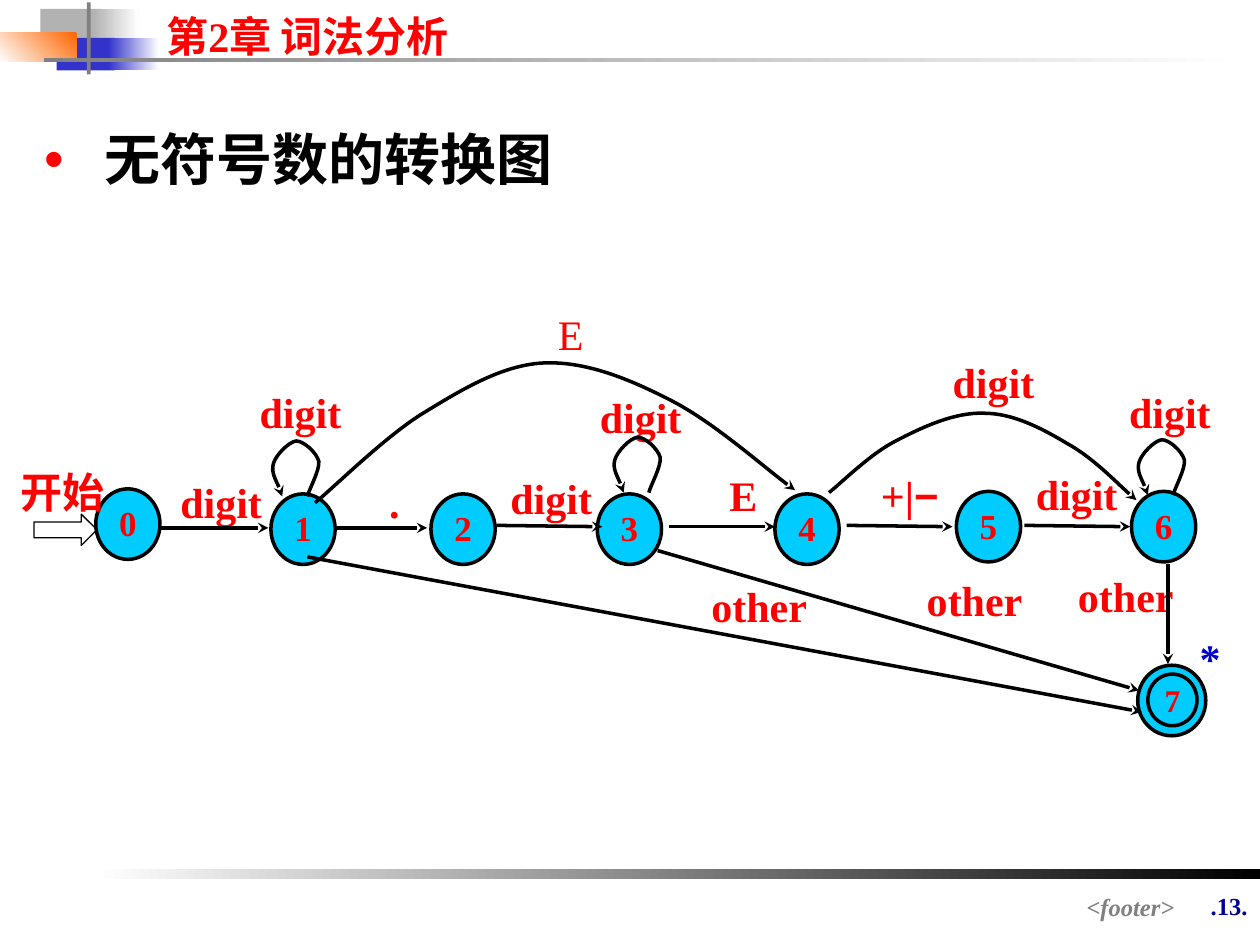
from dataclasses import dataclass

from lxml.etree import SubElement
from pptx import Presentation
from pptx.dml.color import RGBColor
from pptx.enum.shapes import MSO_CONNECTOR, MSO_SHAPE
from pptx.enum.text import MSO_ANCHOR, MSO_AUTO_SIZE, PP_ALIGN
from pptx.oxml.ns import qn
from pptx.util import Inches, Pt

COLORS = {
    "red": "FF0000", "black": "000000", "white": "FFFFFF", "state": "00CCFF",
    "silver": "B2B2B2", "gray": "808080", "blue": "3333CC", "orange": "FF6600",
    "navy": "000099", "star": "0000CC",
}
SERIF = "Times New Roman"
STATE_SIZE = (0.51, 0.56)
STATES = [(0.76, 1.48), (2.15, 1.52), (3.42, 1.52), (4.74, 1.52),
          (6.15, 1.52), (7.59, 1.5), (8.98, 1.5)]
EDGES = [
    ((1.28, 1.79), (2.13, 1.79)), ((2.66, 1.79), (3.39, 1.79)),
    ((3.94, 1.77), (4.78, 1.78)), ((5.31, 1.78), (6.15, 1.78)),
    ((6.72, 1.77), (7.56, 1.78)), ((8.13, 1.77), (8.97, 1.78)),
    ((9.27, 2.08), (9.27, 2.87)), ((5.22, 1.97), (9.04, 3.08)),
    ((2.44, 2.02), (9.06, 3.25)),
]
LOOP_STARTS = [(2.44, 1.54), (5.15, 1.51), (9.31, 1.53)]
LOOP = [(0, 0), (0.01, -0.05), (0.1, -0.21), (0.09, -0.28),
        (0.07, -0.35), (-0.03, -0.44), (-0.09, -0.44),
        (-0.15, -0.43), (-0.25, -0.33), (-0.27, -0.26),
        (-0.29, -0.19), (-0.21, -0.05), (-0.2, 0)]
ARCS = [
    [(2.5, 1.59), (2.65, 1.47), (3.08, 1.04), (3.39, 0.86),
     (3.7, 0.67), (4.01, 0.49), (4.33, 0.48),
     (4.66, 0.47), (5, 0.61), (5.33, 0.78),
     (5.66, 0.95), (6.11, 1.35), (6.31, 1.49)],
    [(6.58, 1.51), (6.67, 1.44), (6.91, 1.2), (7.11, 1.1),
     (7.32, 0.99), (7.58, 0.87), (7.81, 0.88),
     (8.04, 0.88), (8.27, 1), (8.47, 1.12),
     (8.67, 1.23), (8.91, 1.48), (9.02, 1.57)],
]
LABELS = [
    ("开始", 0.08, 1.27, 0.83), (".", 2.9, 1.35, 0.46), ("E", 5.49, 1.3, 0.82),
    ("digit", 1.32, 1.35, 0.87), ("digit", 1.95, 0.64, 0.87),
    ("digit", 3.94, 1.32, 0.87), ("digit", 4.65, 0.68, 0.87),
    ("digit", 8.11, 1.29, 0.87), ("digit", 8.85, 0.64, 0.87),
    ("digit", 7.45, 0.4, 0.87),
    ("other", 5.49, 2.18, 1.07), ("other", 7.2, 2.13, 1.07), ("other", 8.4, 2.1, 1.07),
]


@dataclass
class Region:
    left: float
    top: float

    def point(self, x, y):
        return Inches(self.left + x), Inches(self.top + y)

    def area(self, x, y, width, height):
        return *self.point(x, y), Inches(width), Inches(height)


def rgb(name):
    return RGBColor.from_string(COLORS[name])


def style_font(font, size, color="red", bold=True):
    font.name, font.size, font.bold = SERIF, Pt(size), bold
    font.color.rgb = rgb(color)


def set_insets(frame, left, top, right, bottom):
    frame.margin_left, frame.margin_top = Inches(left), Inches(top)
    frame.margin_right, frame.margin_bottom = Inches(right), Inches(bottom)


def move(shape, area):
    shape.left, shape.top, shape.width, shape.height = area


def add_text(page, area, text, size=24, color="red", bold=True,
             align=PP_ALIGN.CENTER, insets=(0.06, 0.03, 0.06, 0.03)):
    frame = page.shapes.add_textbox(*area).text_frame
    frame.word_wrap = True
    set_insets(frame, *insets)
    para = frame.paragraphs[0]
    para.text, para.alignment = text, align
    style_font(para.font, size, color, bold)
    return para


def add_bar(page, area, start, end=None, angle=0):
    """Borderless rectangle, fading from start to end when end is given."""
    bar = page.shapes.add_shape(MSO_SHAPE.RECTANGLE, *area)
    bar.shadow.inherit = False
    bar.line.fill.background()
    if end is None:
        bar.fill.solid()
        bar.fill.fore_color.rgb = rgb(start)
        return
    bar.fill.gradient()
    bar.fill.gradient_angle = angle
    for stop, color in zip(bar.fill.gradient_stops, (start, end)):
        stop.color.rgb = rgb(color)


def outline(shape, width=2, arrow=False):
    shape.line.color.rgb = rgb("black")
    shape.line.width = Pt(width)
    if arrow:
        SubElement(shape.line._get_or_add_ln(), qn("a:tailEnd"), type="stealth")


def add_edge(page, start, end):
    edge = page.shapes.add_connector(MSO_CONNECTOR.STRAIGHT, *start, *end)
    outline(edge, arrow=True)
    SubElement(edge.element.spPr, qn("a:effectLst"))


def add_curve(page, points):
    """Arrow along cubic curves: a start, then two controls and an end per curve."""
    builder = page.shapes.build_freeform(*points[0])
    builder.add_line_segments(points[1:], close=False)
    curve = builder.convert_to_shape()
    curve.shadow.inherit = False
    curve.fill.background()
    outline(curve, arrow=True)
    track = next(curve.element.iter(qn("a:path")))
    segments = track.findall(qn("a:lnTo"))
    for first in range(0, len(segments), 3):
        cubic = SubElement(track, qn("a:cubicBezTo"))
        for segment in segments[first:first + 3]:
            cubic.append(segment[0])
            track.remove(segment)


def add_state(page, area, name="", size=20, insets=(0.02, 0.03, 0.02, 0.05)):
    state = page.shapes.add_shape(MSO_SHAPE.OVAL, *area)
    state.shadow.inherit = False
    state.fill.solid()
    state.fill.fore_color.rgb = rgb("state")
    outline(state)
    if name:
        frame = state.text_frame
        frame.vertical_anchor = MSO_ANCHOR.MIDDLE
        set_insets(frame, *insets)
        para = frame.paragraphs[0]
        para.text, para.alignment = name, PP_ALIGN.CENTER
        style_font(para.font, size)


def add_header(page, region):
    add_bar(page, region.area(0.32, 0.07, 0.48, 0.26), "silver")
    add_bar(page, region.area(0.74, 0.07, 0.36, 0.26), "silver", "white")
    add_bar(page, region.area(0.45, 0.3, 0.46, 0.26), "blue")
    add_bar(page, region.area(0.86, 0.3, 0.4, 0.26), "blue", "white")
    add_bar(page, region.area(0, 0.26, 0.61, 0.23), "orange", "white", 225)
    add_bar(page, region.area(0.69, 0.02, 0.03, 0.57), "gray")
    add_bar(page, region.area(0.35, 0.46, 9.51, 0.03), "gray", "white")
    title = page.shapes.title
    move(title, region.area(1.22, 0.03, 3.15, 0.5))
    title.text_frame.vertical_anchor = MSO_ANCHOR.TOP
    para = title.text_frame.paragraphs[0]
    para.text, para.alignment = "第2章 词法分析", PP_ALIGN.LEFT
    style_font(para.font, 24)


def add_topic(page, region):
    body = page.placeholders[1]
    move(body, region.area(0, 0, 9.42, 0.58))
    body.text_frame.auto_size = MSO_AUTO_SIZE.NONE
    para = body.text_frame.paragraphs[0]
    para.text = "无符号数的转换图"
    para.line_spacing, para.space_before = 0.9, Pt(0)
    props = para._p.get_or_add_pPr()
    props.set("marL", str(Inches(0.48)))
    props.set("indent", str(Inches(-0.48)))
    SubElement(SubElement(props, qn("a:buClr")), qn("a:srgbClr"), val=COLORS["red"])
    SubElement(props, qn("a:buChar"), char="•")
    style_font(para.font, 32, "black")


def add_diagram(page, region):
    add_state(page, region.area(9.03, 2.88, 0.54, 0.56))
    add_state(page, region.area(9.11, 2.95, 0.39, 0.41), "7", 18, (0.01, 0, 0.01, 0))
    for number, corner in enumerate(STATES):
        add_state(page, region.area(*corner, *STATE_SIZE), str(number))
    for text, x, y, width in LABELS:
        add_text(page, region.area(x, y, width, 0.53), text)
    add_text(page, region.area(4.24, 0.02, 0.58, 0.42), "E", bold=False)
    add_text(page, region.area(9.38, 2.59, 0.45, 0.53), "*", color="star")
    sign = add_text(page, region.area(6.81, 1.3, 0.82, 0.53), "+|")
    minus = sign.add_run()
    minus.text, minus.font.name = "−", "Arial"
    for start, end in EDGES:
        add_edge(page, region.point(*start), region.point(*end))
    loops = [[(x + dx, y + dy) for dx, dy in LOOP] for x, y in LOOP_STARTS]
    for points in loops + ARCS:
        add_curve(page, [region.point(*point) for point in points])
    entry = page.shapes.add_shape(MSO_SHAPE.RIGHT_ARROW, *region.area(0.27, 1.68, 0.5, 0.25))
    entry.shadow.inherit = False
    entry.fill.background()
    outline(entry, 0.75)


def add_footer(page, region):
    add_bar(page, region.area(0.75, 0, 9.25, 0.08), "white", "black")
    look = {"size": 14, "align": PP_ALIGN.RIGHT, "insets": (0.1, 0.05, 0.1, 0.05)}
    add_text(page, region.area(9.33, 0.12, 0.67, 0.57), ".13.", color="navy", **look)
    footer = add_text(page, region.area(2.64, 0.13, 6.78, 0.26), "<footer>", color="gray", **look)
    footer.font.italic = True


def main():
    deck = Presentation()
    deck.slide_width, deck.slide_height = Inches(10), Inches(7.5)
    page = deck.slides.add_slide(deck.slide_layouts[1])
    add_header(page, Region(0, 0))
    add_topic(page, Region(0.25, 1))
    add_diagram(page, Region(0, 2.4))
    add_footer(page, Region(0, 6.9))
    deck.save("out.pptx")


if __name__ == "__main__":
    main()
